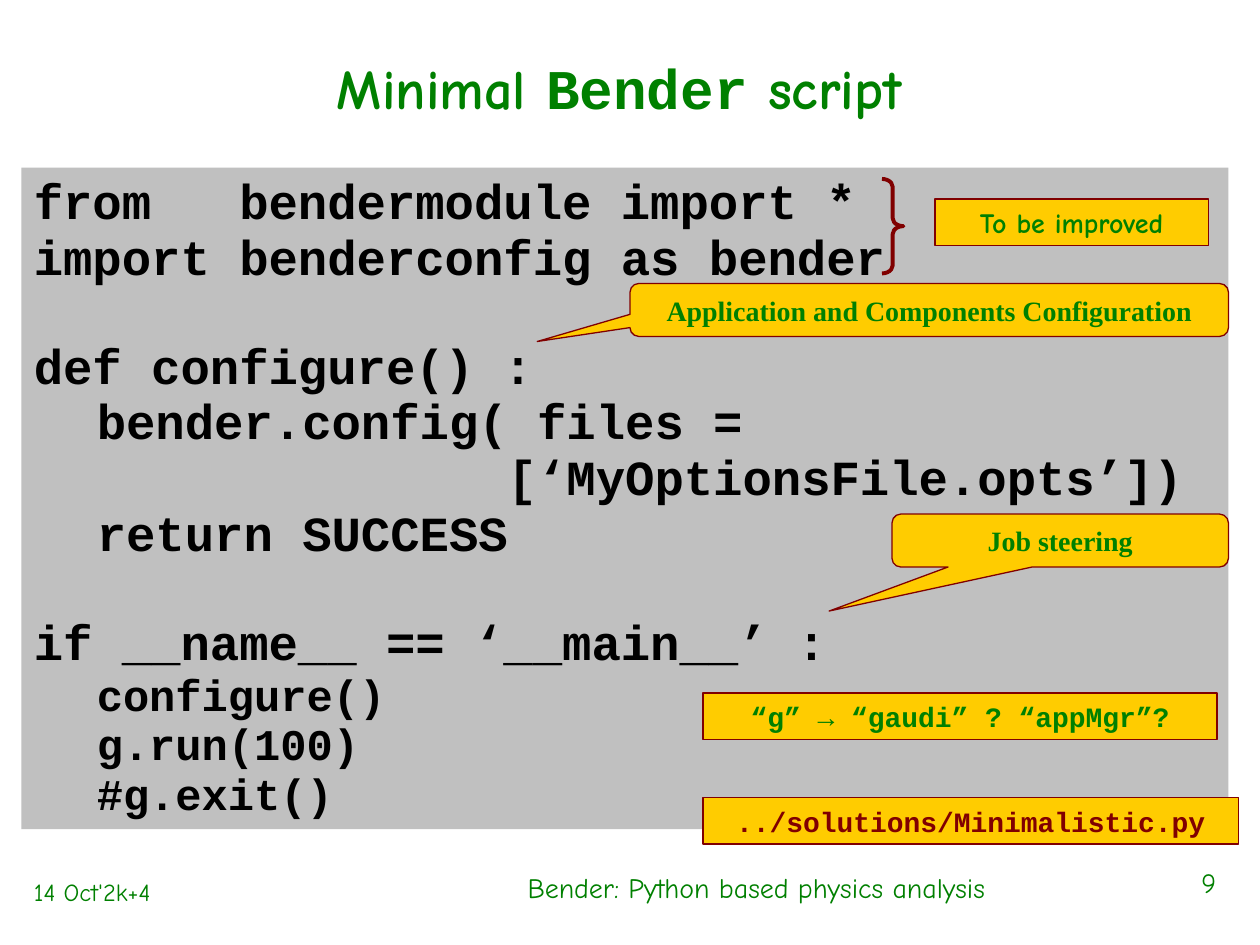
from dataclasses import dataclass

import pptx
import pptx.util
from pptx.dml.color import RGBColor
from pptx.enum.shapes import MSO_SHAPE
from pptx.enum.text import MSO_ANCHOR, PP_ALIGN
from pptx.util import Inches, Pt


@dataclass(frozen=True)
class Theme:
    green: RGBColor = RGBColor(0x00, 0x80, 0x00)
    maroon: RGBColor = RGBColor(0x80, 0x00, 0x00)
    amber: RGBColor = RGBColor(0xFF, 0xCC, 0x00)
    grey: RGBColor = RGBColor(0xC0, 0xC0, 0xC0)
    black: RGBColor = RGBColor(0x00, 0x00, 0x00)
    casual: str = "Comic Neue"
    code: str = "Courier New"
    serif: str = "Times New Roman"
    title_size: float = 32
    code_size: float = 28
    small_code_size: float = 25
    note_size: float = 16
    date_size: float = 14
    tight: float = 0.7


THEME = Theme()

# (text, indent level, size, space before in points)
LINE_GAP, SECTION_GAP, SMALL_GAP = 8.3, 38.8, 7.5
BIG, SMALL = THEME.code_size, THEME.small_code_size
CODE_LINES = [
    ("from   bendermodule import *", 0, BIG, 0),
    ("import benderconfig as bender", 0, BIG, LINE_GAP),
    ("def configure() :", 0, BIG, SECTION_GAP),
    ("bender.config( files =", 1, BIG, LINE_GAP),
    ("              [‘MyOptionsFile.opts’])", 1, BIG, LINE_GAP),
    ("return SUCCESS", 1, BIG, LINE_GAP),
    ("if __name__ == ‘__main__’ :", 0, BIG, SECTION_GAP),
    ("configure()", 1, SMALL, SMALL_GAP),
    ("g.run(100)", 1, SMALL, SMALL_GAP),
    ("#g.exit()", 1, SMALL, SMALL_GAP),
]


def inches(box):
    return [Inches(length) for length in box]


def style(font, face, size, color, bold=True):
    font.name, font.size, font.bold = face, Pt(size), bold
    font.color.rgb = color


def add_preset(slide, box, kind, fill=None, line=None, weight=0.75):
    shape = slide.shapes.add_shape(kind, *inches(box))
    shape.shadow.inherit = False
    if fill is None:
        shape.fill.background()
    else:
        shape.fill.solid()
        shape.fill.fore_color.rgb = fill
    if line is None:
        shape.line.fill.background()
    else:
        shape.line.color.rgb = line
        shape.line.width = Pt(weight)
    return shape


def add_label(slide, box, text, size, align):
    """Places one line of plain green text, centred vertically in its box."""
    frame = slide.shapes.add_textbox(*inches(box)).text_frame
    frame.word_wrap = True
    frame.vertical_anchor = MSO_ANCHOR.MIDDLE
    frame.text = text
    line = frame.paragraphs[0]
    line.alignment = align
    for run in line.runs:
        style(run.font, THEME.casual, size, THEME.green, bold=False)
    return line


def add_title(slide, box):
    title = add_label(slide, box, "Minimal ", THEME.title_size, PP_ALIGN.CENTER)
    title.line_spacing = THEME.tight
    for text in ("Bender", " script "):
        title.add_run().text = text
    faces = (THEME.casual, THEME.code, THEME.casual)
    for run, face in zip(title.runs, faces):
        style(run.font, face, THEME.title_size, THEME.green)


def add_code_panel(slide, box):
    frame = add_preset(slide, box, MSO_SHAPE.RECTANGLE, THEME.grey).text_frame
    frame.word_wrap = True
    frame.vertical_anchor = MSO_ANCHOR.TOP
    frame.margin_top = Inches(0.15)
    for index, (text, level, size, gap) in enumerate(CODE_LINES):
        line = frame.add_paragraph() if index else frame.paragraphs[0]
        line.text = text
        line.alignment = PP_ALIGN.LEFT
        line.line_spacing = THEME.tight
        line.space_before = Pt(gap)
        line._p.get_or_add_pPr().set("marL", str(Inches(0.5 * level)))
        style(line.runs[0].font, THEME.code, size, THEME.black)


def add_note(slide, box, text, face, color=THEME.green, pointer=None):
    """Places an amber note; a pointer (x, y) makes it a speech callout."""
    kind = MSO_SHAPE.ROUNDED_RECTANGULAR_CALLOUT if pointer else MSO_SHAPE.RECTANGLE
    note = add_preset(slide, box, kind, THEME.amber, THEME.maroon)
    if pointer:
        note.adjustments[0], note.adjustments[1] = pointer
    frame = note.text_frame
    frame.word_wrap = True
    frame.vertical_anchor = MSO_ANCHOR.MIDDLE
    frame.text = text
    frame.paragraphs[0].alignment = PP_ALIGN.CENTER
    style(frame.paragraphs[0].runs[0].font, face, THEME.note_size, color)


def add_import_remark(slide, box):
    """Braces the import lines and puts the remark to their right."""
    left, top, width, height = box
    brace = add_preset(slide, (left, top, 0.17, height), MSO_SHAPE.RIGHT_BRACE,
                       line=THEME.maroon, weight=2.25)
    brace.adjustments[0] = 0.37
    add_note(slide, (left + 0.42, top + 0.16, width - 0.42, 0.37),
             "To be improved", THEME.casual)


def add_footer(slide, box):
    left, top, width, height = box
    add_label(slide, (left + 3.16, top, 5.42, height),
              "Bender: Python based physics analysis ", THEME.note_size, PP_ALIGN.CENTER)
    add_label(slide, (left + width - 0.92, top, 0.92, 0.5),
              "9", THEME.note_size, PP_ALIGN.RIGHT)
    add_label(slide, (left, top + 0.08, 3.08, 0.5),
              "14 Oct'2k+4", THEME.date_size, PP_ALIGN.LEFT)


def main():
    deck = pptx.Presentation()
    deck.slide_width, deck.slide_height = Inches(10), Inches(7.5)
    slide = deck.slides.add_slide(deck.slide_layouts[6])
    add_title(slide, (1.12, 0.42, 7.75, 0.67))
    add_code_panel(slide, (0.17, 1.33, 9.58, 5.25))
    add_note(slide, (5.58, 6.33, 4.25, 0.37), "../solutions/Minimalistic.py",
             THEME.code, THEME.maroon)
    add_note(slide, (5, 2.25, 4.75, 0.42), "Application and Components Configuration",
             THEME.serif, pointer=(-0.655, 0.596))
    add_note(slide, (7.08, 4.08, 2.67, 0.42), "Job steering",
             THEME.serif, pointer=(-0.687, 1.333))
    add_import_remark(slide, (7, 1.42, 2.59, 0.75))
    add_note(slide, (5.58, 5.5, 4.08, 0.37), "“g” → “gaudi” ? “appMgr”?", THEME.code)
    add_footer(slide, (0.17, 6.75, 9.58, 0.58))
    deck.save("out.pptx")


if __name__ == "__main__":
    main()
